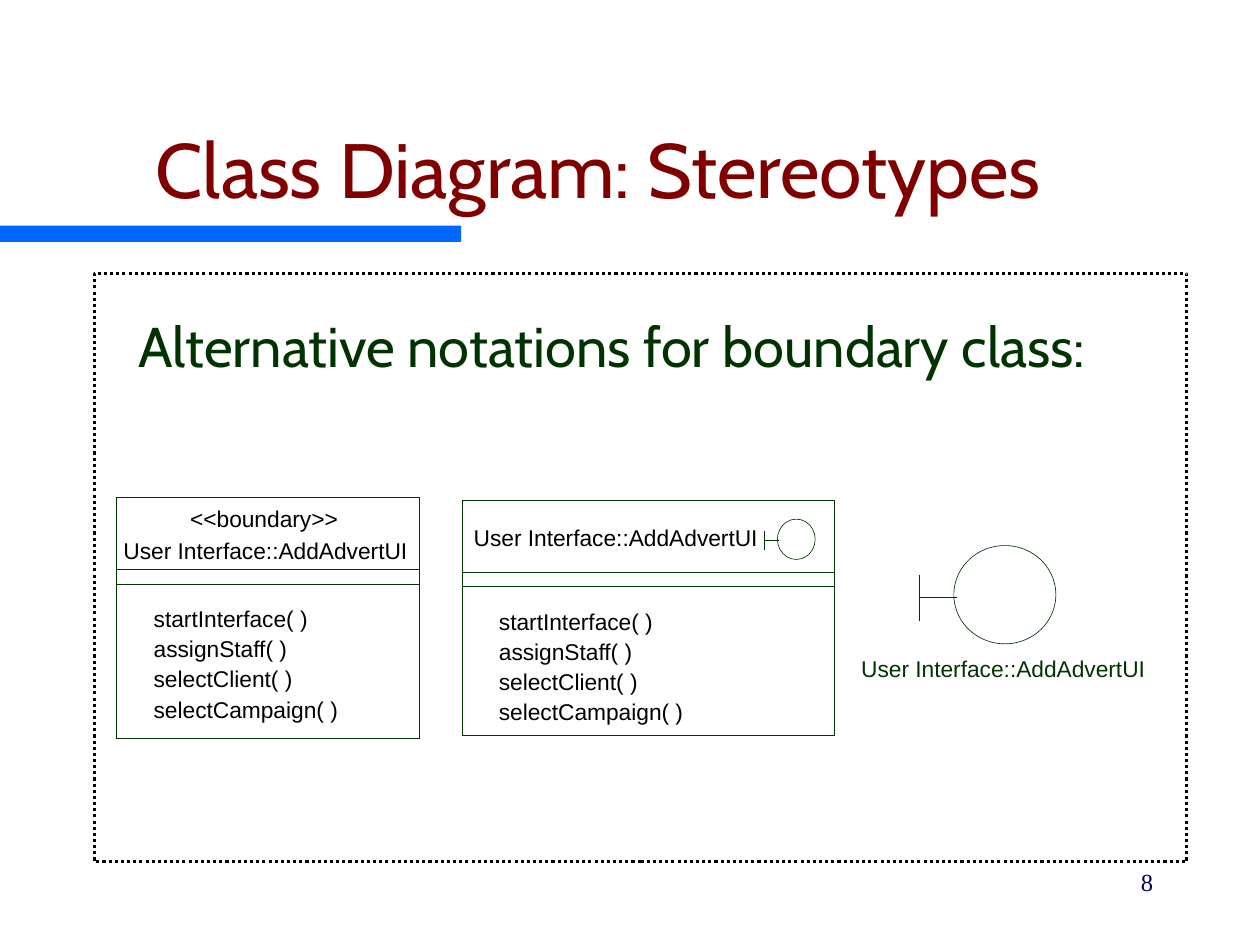
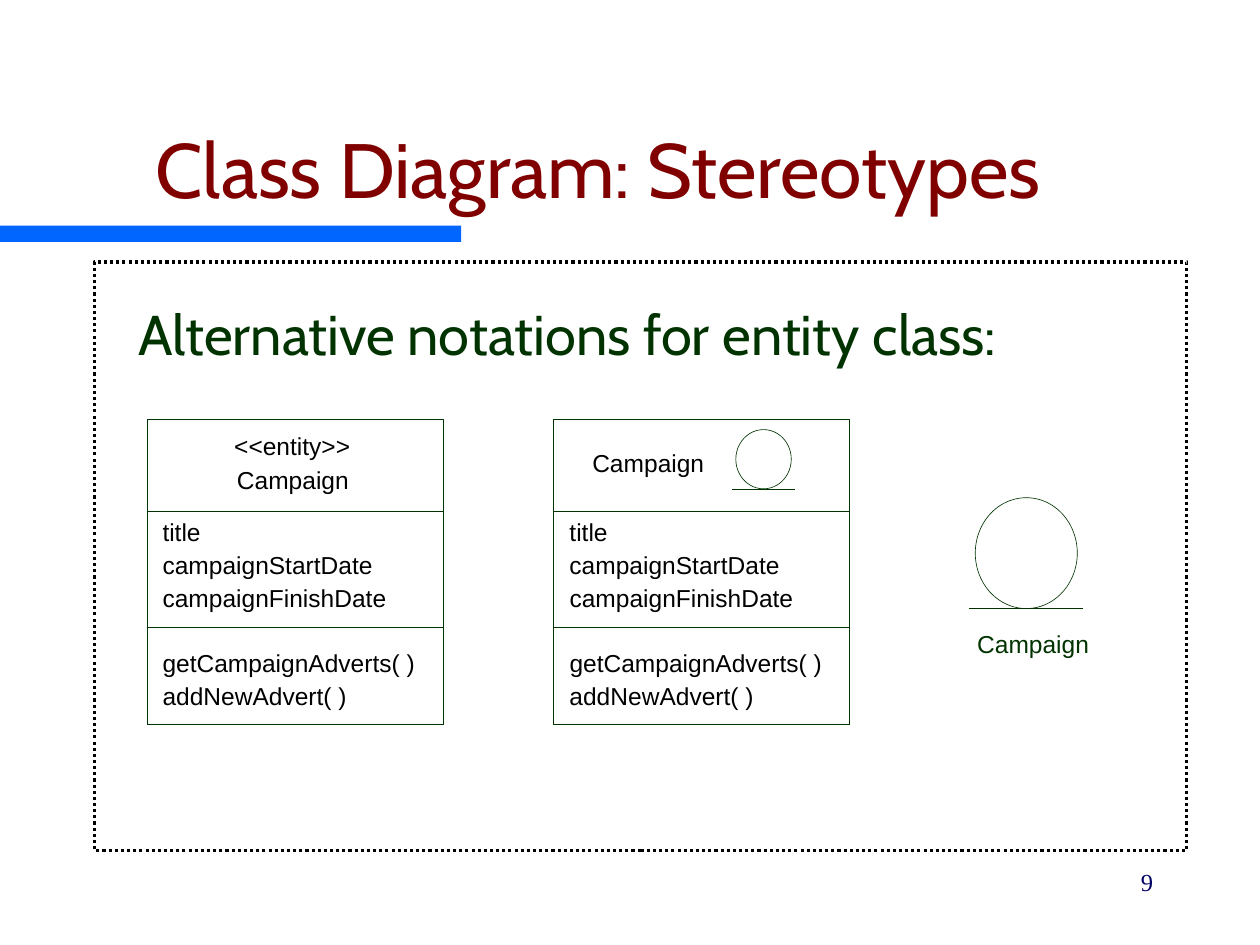
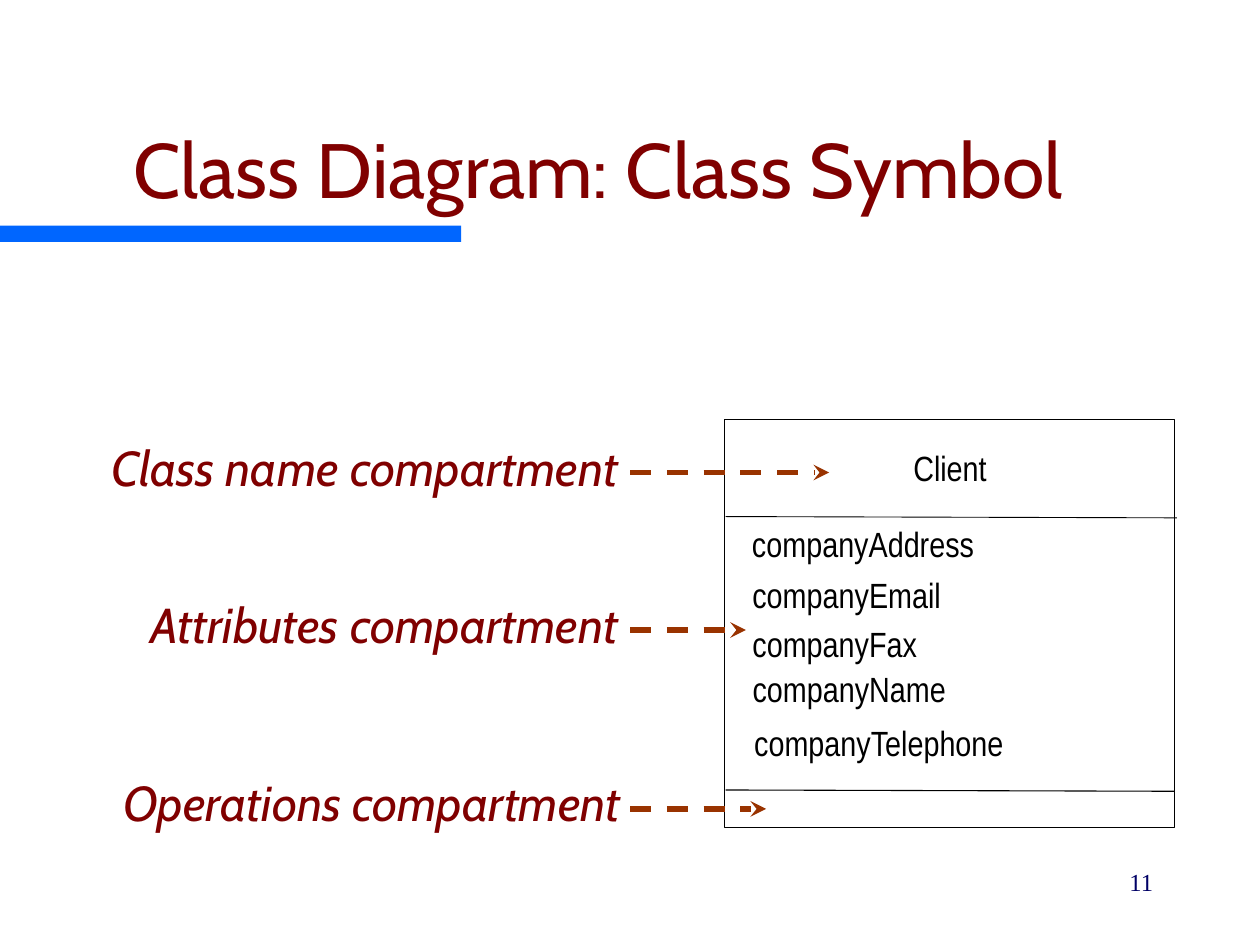
from lxml.etree import SubElement
from pptx import Presentation
from pptx.dml.color import RGBColor
from pptx.enum.dml import MSO_LINE
from pptx.enum.shapes import MSO_CONNECTOR, MSO_SHAPE
from pptx.enum.text import MSO_ANCHOR, MSO_AUTO_SIZE, PP_ALIGN
from pptx.oxml.ns import qn
from pptx.util import Inches, Pt

COLORS = {
    "band": "0066FF", "title": "800000", "green": "003300", "black": "000000",
    "white": "FFFFFF", "number": "000066", "arrow": "993300",
}
ALIGN = {"l": PP_ALIGN.LEFT, "c": PP_ALIGN.CENTER, "r": PP_ALIGN.RIGHT}
HAIRLINE = 0.37
LABEL_SLACK = 0.1
TITLE_ONLY = 5

UI_OPERATIONS = [("startInterface( )", 1.22), ("assignStaff( )", 1.06),
                 ("selectClient( )", 1.1), ("selectCampaign( )", 1.46)]
ATTRIBUTES = [("title", 0.3), ("campaignStartDate", 1.67), ("campaignFinishDate", 1.78)]
OPERATIONS = [("getCampaignAdverts( )", 2.01), ("addNewAdvert( )", 1.46)]

STEREOTYPES = [
    {
        "number": "8", "panel_top": 2.17, "size": 13, "pitch": 0.24, "icon": "boundary",
        "heading": "Alternative notations for boundary class:",
        "classes": [
            {"left": 0.92, "width": 2.41, "tops": [3.95, 4.52, 4.64], "bottom": 5.86,
             "names": [("<<boundary>>", 1.51, 4.01, 1.17),
                       ("User Interface::AddAdvertUI", 0.98, 4.26, 2.25)],
             "members": [(1.22, 4.8, UI_OPERATIONS)]},
            {"left": 3.67, "width": 2.95, "tops": [3.97, 4.54, 4.65], "bottom": 5.84,
             "names": [("User Interface::AddAdvertUI", 3.76, 4.16, 2.25)],
             "members": [(3.96, 4.82, UI_OPERATIONS)]},
        ],
        "icons": [(6.17, 4.12, 0.3, 0.32), (7.57, 4.33, 0.81, 0.78)],
        "caption": ("User Interface::AddAdvertUI", 6.75, 5.15, 2.42, 0.32),
    },
    {
        "number": "9", "panel_top": 2.08, "size": 14, "pitch": 0.265, "icon": "entity",
        "heading": "Alternative notations for entity class:",
        "classes": [
            {"left": 1.17, "width": 2.35, "tops": [3.33, 4.06, 4.98], "bottom": 5.75,
             "names": [("<<entity>>", 1.86, 3.42, 0.92), ("Campaign", 1.88, 3.69, 0.89)],
             "members": [(1.29, 4.1, ATTRIBUTES), (1.29, 5.14, OPERATIONS)]},
            {"left": 4.39, "width": 2.35, "tops": [3.33, 4.06, 4.98], "bottom": 5.75,
             "names": [("Campaign", 4.7, 3.56, 0.89)],
             "members": [(4.52, 4.1, ATTRIBUTES), (4.52, 5.14, OPERATIONS)]},
        ],
        "icons": [(5.84, 3.41, 0.44, 0.47), (7.74, 3.95, 0.81, 0.88)],
        "caption": ("Campaign", 7.57, 4.94, 1.26, 0.34),
    },
]

CLIENT_LINES = [
    ("Client", 7.25, 3.54, 0.58), ("companyAddress", 5.97, 4.15, 1.76),
    ("companyEmail", 5.97, 4.55, 1.5), ("companyFax", 5.97, 4.94, 1.31),
    ("companyName", 5.97, 5.3, 1.54), ("companyTelephone", 5.97, 5.73, 2.01),
]
CLIENT_DIVIDERS = [((5.76, 4.1), (9.34, 4.11), 0.5), ((5.76, 6.27), (9.32, 6.28), 0.62)]
COMPARTMENTS = [
    ("Class name compartment", 0.39, 3.42, 4.61, 3.75, 6.58),
    ("Attributes compartment", 0.68, 4.67, 4.32, 5, 5.92),
    ("Operations compartment", 0.46, 6.08, 4.56, 6.42, 6.08),
]


def rgb(name):
    return RGBColor.from_string(COLORS[name])


def write(tf, text, size=14, font="Arial", color="black", align="l", italic=False):
    p = tf.paragraphs[0]
    p.alignment = ALIGN[align]
    r = p.add_run()
    r.text = text
    r.font.size = Pt(size)
    r.font.name = font
    r.font.italic = italic
    r.font.color.rgb = rgb(color)


def add_text(slide, text, left, top, width, height, wrap=True, inset=(0.1, 0.05), **style):
    tf = slide.shapes.add_textbox(*map(Inches, (left, top, width, height))).text_frame
    tf.word_wrap = wrap
    tf.auto_size = MSO_AUTO_SIZE.NONE if wrap else MSO_AUTO_SIZE.SHAPE_TO_FIT_TEXT
    tf.margin_left = tf.margin_right = Inches(inset[0])
    tf.margin_top = tf.margin_bottom = Inches(inset[1])
    write(tf, text, **style)


def add_label(slide, text, left, top, width, align="l", **style):
    if align == "c":
        left -= LABEL_SLACK / 2
    add_text(slide, text, left, top, width + LABEL_SLACK, 0.23, inset=(0, 0),
             align=align, **style)


def add_box(slide, left, top, width, height, kind=MSO_SHAPE.RECTANGLE, fill=None,
            line=None, weight=HAIRLINE, dash=None):
    sp = slide.shapes.add_shape(kind, *map(Inches, (left, top, width, height)))
    sp.shadow.inherit = False
    if fill:
        sp.fill.solid()
        sp.fill.fore_color.rgb = rgb(fill)
    else:
        sp.fill.background()
    if line:
        sp.line.color.rgb = rgb(line)
        sp.line.width = Pt(weight)
        sp.line.dash_style = dash
    else:
        sp.line.fill.background()
    return sp


def add_line(slide, start, end, color="green", weight=HAIRLINE, arrow=False):
    cxn = slide.shapes.add_connector(MSO_CONNECTOR.STRAIGHT, *map(Inches, start + end))
    cxn.line.color.rgb = rgb(color)
    cxn.line.width = Pt(weight)
    sp_pr = cxn.element.spPr
    if arrow:
        cxn.line.dash_style = MSO_LINE.DASH
        SubElement(sp_pr.find(qn("a:ln")), qn("a:tailEnd"), type="stealth")
    SubElement(sp_pr, qn("a:effectLst"))


def add_icon(slide, kind, left, top, width, height):
    add_box(slide, left, top, width, height, kind=MSO_SHAPE.OVAL, line="green")
    if kind == "boundary":
        bar, middle, half = left - width / 3, top + 0.53 * height, 0.235 * height
        add_line(slide, (bar, middle - half), (bar, middle + half))
        add_line(slide, (bar, middle), (left + 0.035 * width, middle))
    else:
        base, overhang = top + height, 0.06 * width
        add_line(slide, (left - overhang, base), (left + width + overhang, base))


def add_class(slide, cls, size, pitch):
    for top in cls["tops"]:
        add_box(slide, cls["left"], top, cls["width"], cls["bottom"] - top, line="green")
    for text, left, top, width in cls["names"]:
        add_label(slide, text, left, top, width, size=size, align="c")
    for left, top, members in cls["members"]:
        for i, (text, width) in enumerate(members):
            add_label(slide, text, left, top + i * pitch, width, size=size)


def new_slide(prs, title, number):
    slide = prs.slides.add_slide(prs.slide_layouts[TITLE_ONLY])
    sp = slide.shapes.title
    sp.left, sp.top, sp.width, sp.height = map(Inches, (0.25, 0.5, 9, 1.25))
    tf = sp.text_frame
    tf.auto_size = MSO_AUTO_SIZE.NONE
    tf.vertical_anchor = MSO_ANCHOR.BOTTOM
    write(tf, title, size=44, font="Cabin", color="title", align="c")
    add_text(slide, number, 7.17, 6.83, 2.08, 0.5,
             font="Times New Roman", color="number", align="r")
    return slide


def add_master_band(prs, slide):
    band = add_box(slide, 0, 1.79, 3.66, 0.13, fill="band")
    prs.slide_master.shapes.element.insert(2, band.element)


def stereotype_slide(prs, data):
    slide = new_slide(prs, "Class Diagram: Stereotypes", data["number"])
    top = data["panel_top"]
    add_box(slide, 0.75, top, 8.67, 4.67, fill="white", line="black",
            weight=1.75, dash=MSO_LINE.ROUND_DOT)
    add_text(slide, data["heading"], 1, top + 0.25, 7.81, 1.17,
             size=32, font="Cabin", color="green")
    for cls in data["classes"]:
        add_class(slide, cls, data["size"], data["pitch"])
    for place in data["icons"]:
        add_icon(slide, data["icon"], *place)
    add_text(slide, *data["caption"], inset=(0, 0.05),
             size=data["size"], color="green", align="c")
    return slide


def symbol_slide(prs):
    slide = new_slide(prs, "Class Diagram: Class Symbol", "11")
    add_box(slide, 0, 2.39, 10, 4.4, fill="white")
    add_box(slide, 5.75, 3.33, 3.57, 3.24, line="black", weight=0.5)
    for text, left, top, width in CLIENT_LINES:
        add_label(slide, text, left, top, width, size=20, font="Arial Narrow", align="c")
    for start, end, weight in CLIENT_DIVIDERS:
        add_line(slide, start, end, color="black", weight=weight)
    for text, left, top, width, arrow_y, arrow_end in COMPARTMENTS:
        add_text(slide, text, left, top, width, 0.57, wrap=False, size=28,
                 font="Cabin", color="title", align="r", italic=True)
        add_line(slide, (5, arrow_y), (arrow_end, arrow_y),
                 color="arrow", weight=3, arrow=True)


def main():
    prs = Presentation()
    prs.slide_width, prs.slide_height = Inches(10), Inches(7.5)
    slides = [stereotype_slide(prs, data) for data in STEREOTYPES]
    add_master_band(prs, slides[0])
    symbol_slide(prs)
    prs.save("out.pptx")


if __name__ == "__main__":
    main()
